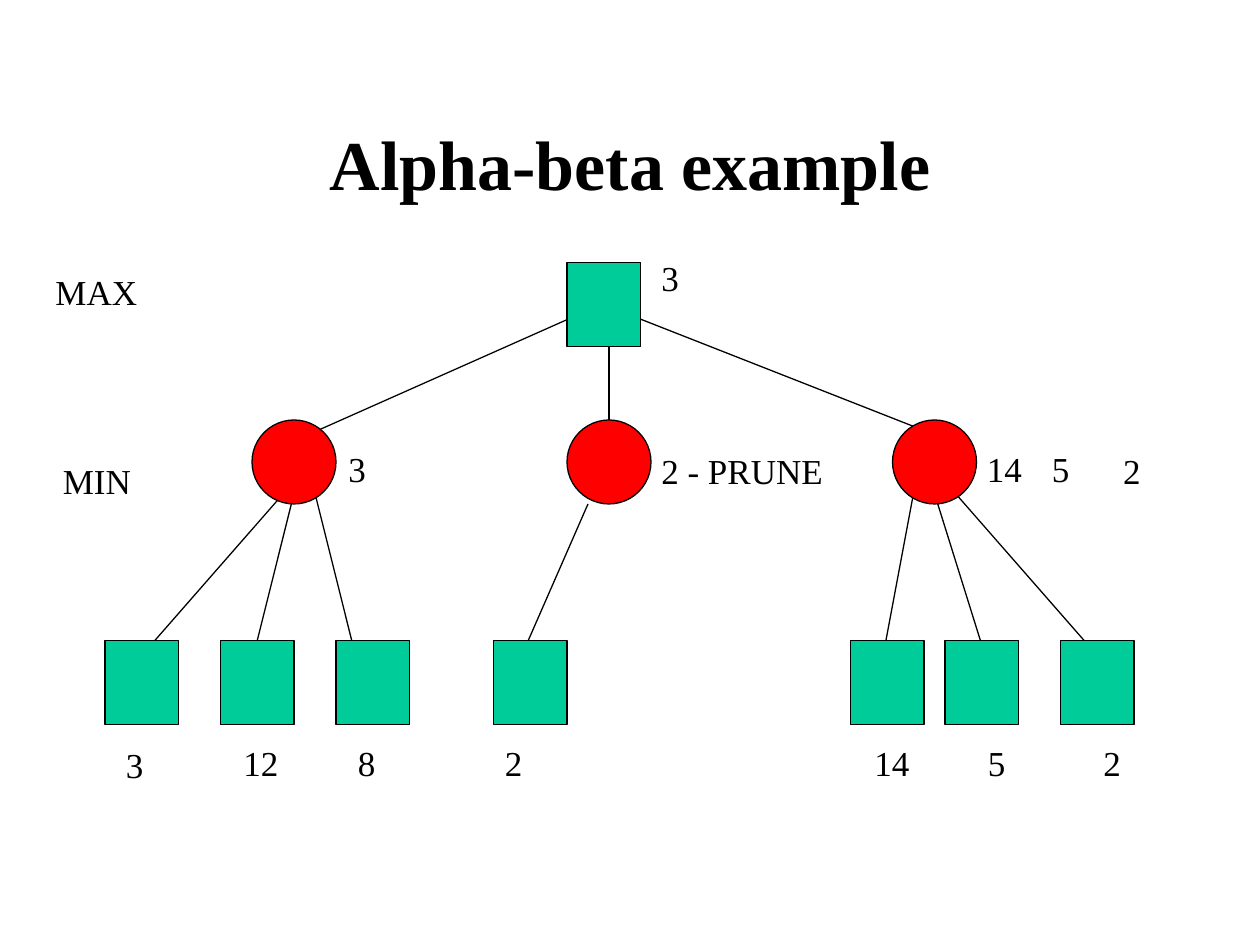
from pptx import Presentation
from pptx.dml.color import RGBColor
from pptx.enum.shapes import MSO_CONNECTOR, MSO_SHAPE
from pptx.enum.text import MSO_ANCHOR, MSO_AUTO_SIZE, PP_ALIGN
from pptx.oxml.ns import qn
from pptx.util import Inches, Pt
from lxml import etree

STRAIGHT = MSO_CONNECTOR.STRAIGHT
SQUARE = MSO_SHAPE.RECTANGLE
CIRCLE = MSO_SHAPE.OVAL
MIDDLE = MSO_ANCHOR.MIDDLE
FIT_SHAPE = MSO_AUTO_SIZE.SHAPE_TO_FIT_TEXT
CENTER = PP_ALIGN.CENTER

BLACK = RGBColor(0x00, 0x00, 0x00)
GREEN = RGBColor(0x00, 0xCC, 0x99)
RED = RGBColor(0xFF, 0x00, 0x00)

FONT = "Times New Roman"
LINE_WIDTH = Pt(0.75)
SLIDE_WIDTH, SLIDE_HEIGHT = Inches(10), Inches(7.5)
COLUMNS = 120
NODE_HEIGHT = 8
SQUARE_WIDTH = 7
LABEL_HEIGHT = 5.3

ROOT = (54, 25)
MIN_ROW, MIN_COLUMNS = 40, (24, 54, 85)
LEAF_ROW, LEAF_COLUMNS = 61, (10, 21, 32, 47, 81, 90, 101)

ROOT_EDGES = [(55, 28, 42), (58, 58, 41), (60, 88, 41)]
LEAF_EDGES = [
    (27, 13, 47), (28, 24, 47), (30, 34, 47), (56, 49, 48),
    (87, 84, 47), (89, 94, 47), (91, 105, 47),
]
LEAF_DROP = 16

LABELS = [
    ("3", 10.8, 70.2, 4.1),
    ("12", 22, 70, 5.8),
    ("8", 32.9, 70, 4.1),
    ("2", 46.9, 70, 4.1),
    ("14", 82.1, 70, 5.8),
    ("5", 92.9, 70, 4.1),
    ("2", 103.9, 70, 4.1),
    ("3", 32, 42, 4.1),
    ("MIN", 4.8, 43.2, 8.9),
    ("MAX", 4.1, 25.2, 10.2),
    ("3", 61.8, 23.8, 4.1),
    ("2 - PRUNE", 61.8, 42.2, 17.8),
    ("14", 92.8, 42, 5.8),
    ("5", 99, 42, 4.1),
    ("2", 105.8, 42.2, 4.1),
]


def grid(*units):
    return [round(unit * SLIDE_WIDTH / COLUMNS) for unit in units]


def add_text(slide, text, left, top, width, height, size):
    shape = slide.shapes.add_textbox(*grid(left, top, width, height))
    paragraph = shape.text_frame.paragraphs[0]
    paragraph.text = text
    paragraph.font.name = FONT
    paragraph.font.size = Pt(size)
    paragraph.font.color.rgb = BLACK
    return shape.text_frame


def add_title(slide, text):
    frame = add_text(slide, text, 9, 8, 102, 15, 40)
    frame.word_wrap = True
    frame.vertical_anchor = MIDDLE
    frame.paragraphs[0].alignment = CENTER
    frame.paragraphs[0].font.bold = True


def add_label(slide, text, left, top, width):
    frame = add_text(slide, text, left, top, width, LABEL_HEIGHT, 20)
    frame.word_wrap = False
    frame.auto_size = FIT_SHAPE


def add_edge(slide, start_column, start_row, end_column, end_row):
    ends = grid(start_column, start_row, end_column, end_row)
    edge = slide.shapes.add_connector(STRAIGHT, *ends)
    edge.line.color.rgb = BLACK
    edge.line.width = LINE_WIDTH
    etree.SubElement(edge._element.spPr, qn("a:effectLst"))


def add_node(slide, kind, left, top, width, color):
    node = slide.shapes.add_shape(kind, *grid(left, top, width, NODE_HEIGHT))
    node.shadow.inherit = False
    node.fill.solid()
    node.fill.fore_color.rgb = color
    node.line.color.rgb = BLACK
    node.line.width = LINE_WIDTH


def main():
    presentation = Presentation()
    presentation.slide_width = SLIDE_WIDTH
    presentation.slide_height = SLIDE_HEIGHT
    slide = presentation.slides.add_slide(presentation.slide_layouts[6])

    add_title(slide, "Alpha-beta example")
    for start_column, end_column, end_row in ROOT_EDGES:
        add_edge(slide, start_column, 30, end_column, end_row)
    for start_column, end_column, start_row in LEAF_EDGES:
        add_edge(slide, start_column, start_row, end_column, start_row + LEAF_DROP)
    for label in LABELS:
        add_label(slide, *label)
    for left, top in [ROOT] + [(column, LEAF_ROW) for column in LEAF_COLUMNS]:
        add_node(slide, SQUARE, left, top, SQUARE_WIDTH, GREEN)
    for left in MIN_COLUMNS:
        add_node(slide, CIRCLE, left, MIN_ROW, NODE_HEIGHT, RED)

    presentation.save("out.pptx")


if __name__ == "__main__":
    main()
